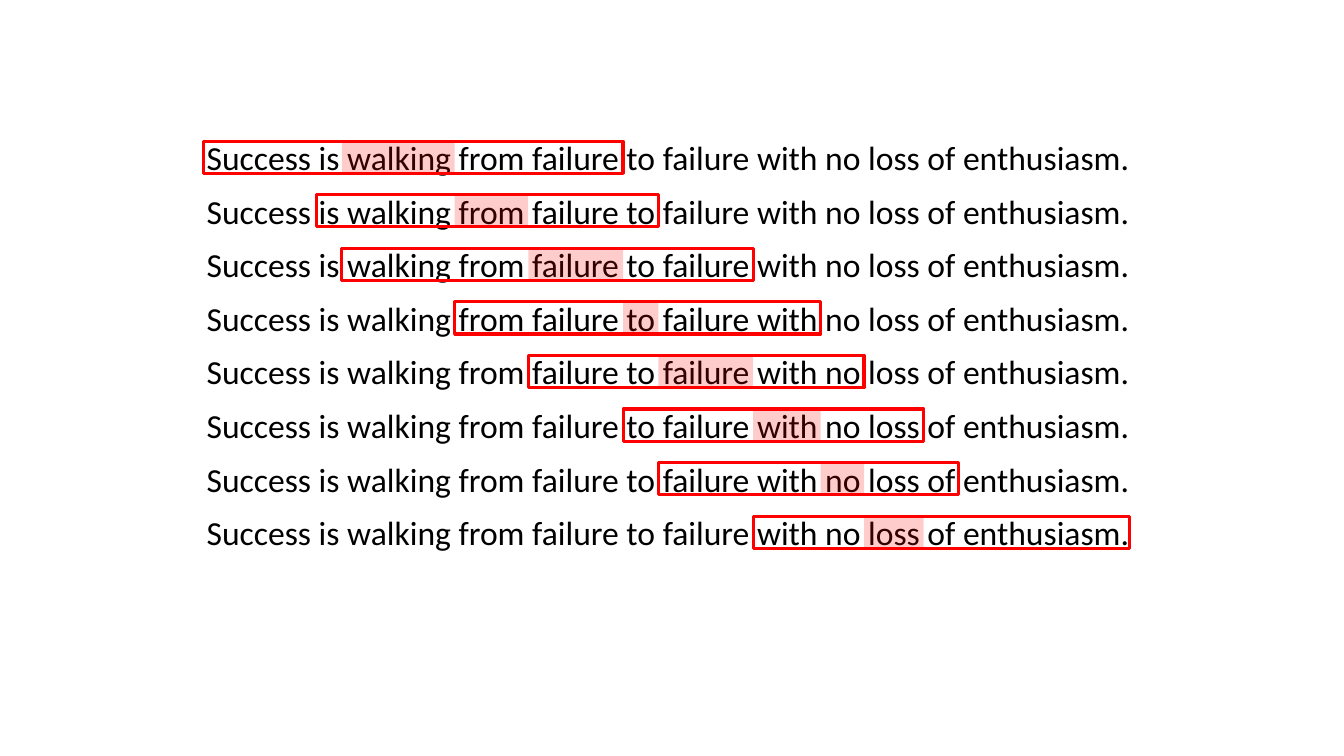
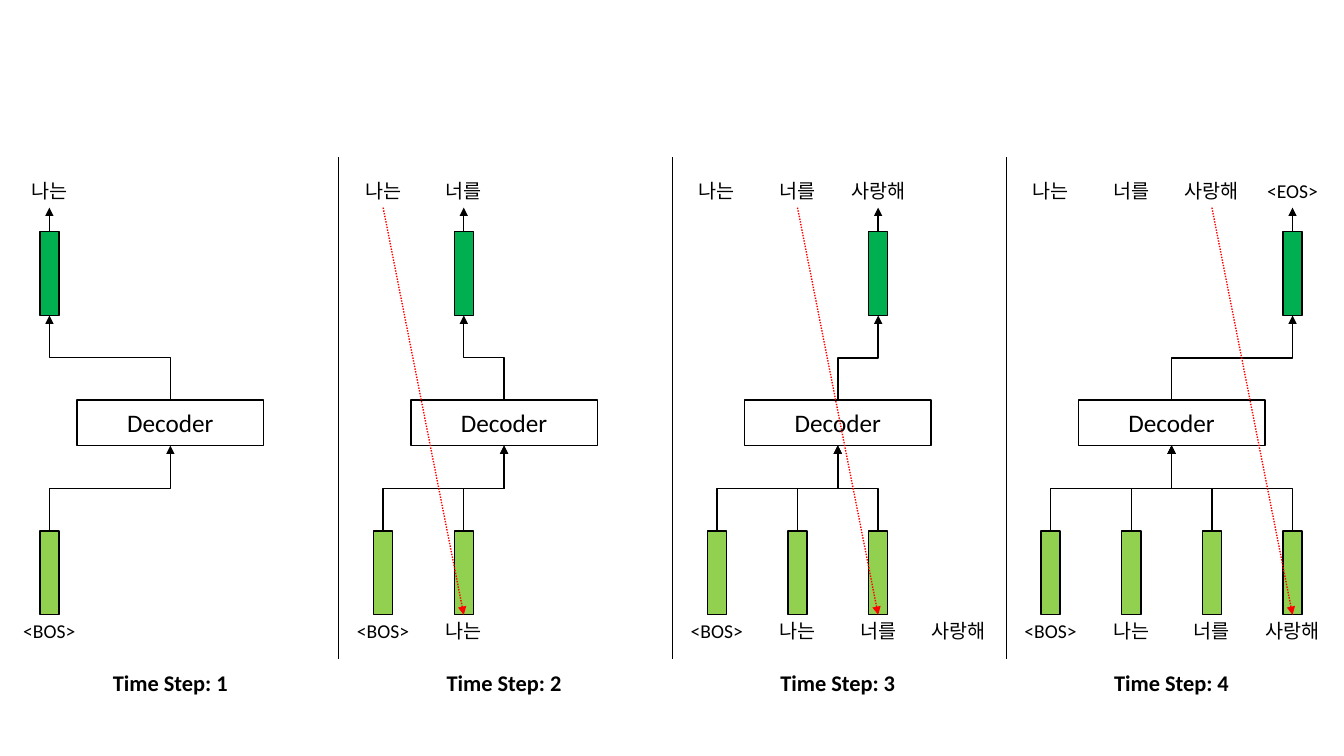
from lxml import etree
from pptx import Presentation
from pptx import util as u
from pptx.dml.color import RGBColor
from pptx.enum import dml, shapes, text
from pptx.oxml import ns

COLORS = {
    "ink": "000000",
    "paper": "FFFFFF",
    "accent": "FF0000",
    "input": "92D050",
    "output": "00B050",
}
SENTENCE = "Success is walking from failure to failure with no loss of enthusiasm."
WORD_EDGES = [202, 314, 339, 451, 524, 618, 653, 747, 814, 857, 916, 951, 1120]
TOKENS = ["<BOS>", "나는", "너를", "사랑해", "<EOS>"]
INPUT_COUNTS = [1, 2, 4, 4]


class Deck:
    """Holds the style and the current slide, with lengths in px."""

    PX = 9144
    FONT = "Calibri"

    def __init__(self, width, height):
        self.presentation = Presentation()
        self.presentation.slide_width = self.emu(width)
        self.presentation.slide_height = self.emu(height)
        self.slide = None

    def emu(self, length):
        return u.Emu(round(length * self.PX))

    def color(self, name):
        return RGBColor.from_string(COLORS[name])

    def add_slide(self):
        layout = self.presentation.slide_layouts.get_by_name("Blank")
        self.slide = self.presentation.slides.add_slide(layout)

    def set_text(self, shape, content, size, bold=False, align=text.PP_ALIGN.CENTER):
        frame = shape.text_frame
        frame.word_wrap = True
        frame.vertical_anchor = text.MSO_ANCHOR.MIDDLE
        frame.margin_left = frame.margin_right = 0
        paragraph = frame.paragraphs[0]
        paragraph.text = content
        paragraph.alignment = align
        font = paragraph.font
        font.name, font.size, font.bold = self.FONT, u.Pt(size), bold
        font.color.rgb = self.color("ink")

    def label(self, left, top, width, height, content, size, **style):
        box = self.slide.shapes.add_textbox(*map(self.emu, (left, top, width, height)))
        self.set_text(box, content, size, **style)

    def rect(self, left, top, width, height, fill=None, line=None, weight=1, opacity=100):
        shape = self.slide.shapes.add_shape(
            shapes.MSO_SHAPE.RECTANGLE, *map(self.emu, (left, top, width, height)))
        shape.shadow.inherit = False
        if fill:
            shape.fill.solid()
            shape.fill.fore_color.rgb = self.color(fill)
            if opacity < 100:
                color = shape._element.spPr.find(".//" + ns.qn("a:srgbClr"))
                etree.SubElement(color, ns.qn("a:alpha"), val=str(opacity * 1000))
        else:
            shape.fill.background()
        if line:
            shape.line.color.rgb = self.color(line)
            shape.line.width = u.Pt(weight)
        else:
            shape.line.fill.background()
        return shape

    def line(self, start, end, color="ink", arrow=True, dash=None,
             kind=shapes.MSO_CONNECTOR.STRAIGHT):
        connector = self.slide.shapes.add_connector(kind, *map(self.emu, (*start, *end)))
        connector.line.color.rgb = self.color(color)
        connector.line.width = u.Pt(1)
        if dash:
            connector.line.dash_style = dash
        properties = connector._element.spPr
        if arrow:
            outline = properties.find(ns.qn("a:ln"))
            etree.SubElement(outline, ns.qn("a:tailEnd"), type="triangle")
        etree.SubElement(properties, ns.qn("a:effectLst"))
        return connector

    def elbow_up(self, start, end):
        """Draws an arrow that leaves and arrives vertically, as a turned elbow."""
        middle_x, middle_y = (start[0] + end[0]) / 2, (start[1] + end[1]) / 2
        half_rise, half_run = (start[1] - end[1]) / 2, (end[0] - start[0]) / 2
        connector = self.line((middle_x - half_rise, middle_y - half_run),
                              (middle_x + half_rise, middle_y + half_run),
                              kind=shapes.MSO_CONNECTOR.ELBOW)
        connector._element.spPr.find(ns.qn("a:xfrm")).set("rot", str(270 * 60000))


def build_windows(deck):
    """Slides a five-word window along the sentence, one row a step."""
    deck.add_slide()
    for row in range(8):
        top = 131 + row * 372 / 7
        left, right = WORD_EDGES[row], WORD_EDGES[row + 5]
        center_left, center_right = WORD_EDGES[row + 2:row + 4]
        deck.label(205, top, 960, 50, SENTENCE, 24, align=text.PP_ALIGN.LEFT)
        deck.rect(center_left, top + 9, center_right - center_left, 32,
                  fill="accent", opacity=20)
        deck.rect(left, top + 9, right - left, 32, line="accent", weight=2.25)


def build_decoder_steps(deck):
    """Shows the decoder at four time steps, one panel each."""
    panel_pitch, lane_pitch = 331, 80
    output_top, decoder_top, input_top = 230, 397, 527
    bar_width, bar_height, decoder_height = 19, 83, 45
    arrow_tip = 206
    deck.add_slide()
    for step, input_count in enumerate(INPUT_COUNTS, 1):
        offset = (step - 1) * panel_pitch
        lanes = [49 + offset + lane * lane_pitch for lane in range(4)]
        center, newest = 169 + offset, lanes[step - 1]

        def bar(x, top, fill):
            deck.rect(x - bar_width / 2, top, bar_width, bar_height, fill, "ink")

        for tokens, top in ((TOKENS[:input_count], 609), (TOKENS[1:step + 1], 172)):
            for x, token in zip(lanes, tokens):
                deck.label(x - lane_pitch / 2, top, lane_pitch, 34, token, 14)
        for x in lanes[:step]:
            bar(x, input_top, "input")
        bar(newest, output_top, "output")
        deck.line((newest, output_top), (newest, arrow_tip))
        decoder = deck.rect(center - 92.5, decoder_top, 185, decoder_height, "paper", "ink")
        deck.set_text(decoder, "Decoder", 18)
        for x in lanes[:step]:
            deck.elbow_up((x, input_top), (center, decoder_top + decoder_height))
        deck.elbow_up((center, decoder_top), (newest, output_top + bar_height))
        deck.label(center - 80, 659, 160, 37, f"Time Step: {step}", 16, bold=True)
        if step > 1:
            divider = 5 + offset
            deck.line((divider, 156), (divider, 654), arrow=False)
            deck.line((lanes[step - 2], arrow_tip), (newest, input_top + bar_height),
                      "accent", dash=dml.MSO_LINE.ROUND_DOT)


def main():
    deck = Deck(1333, 750)
    build_windows(deck)
    build_decoder_steps(deck)
    deck.presentation.save("out.pptx")


if __name__ == "__main__":
    main()
